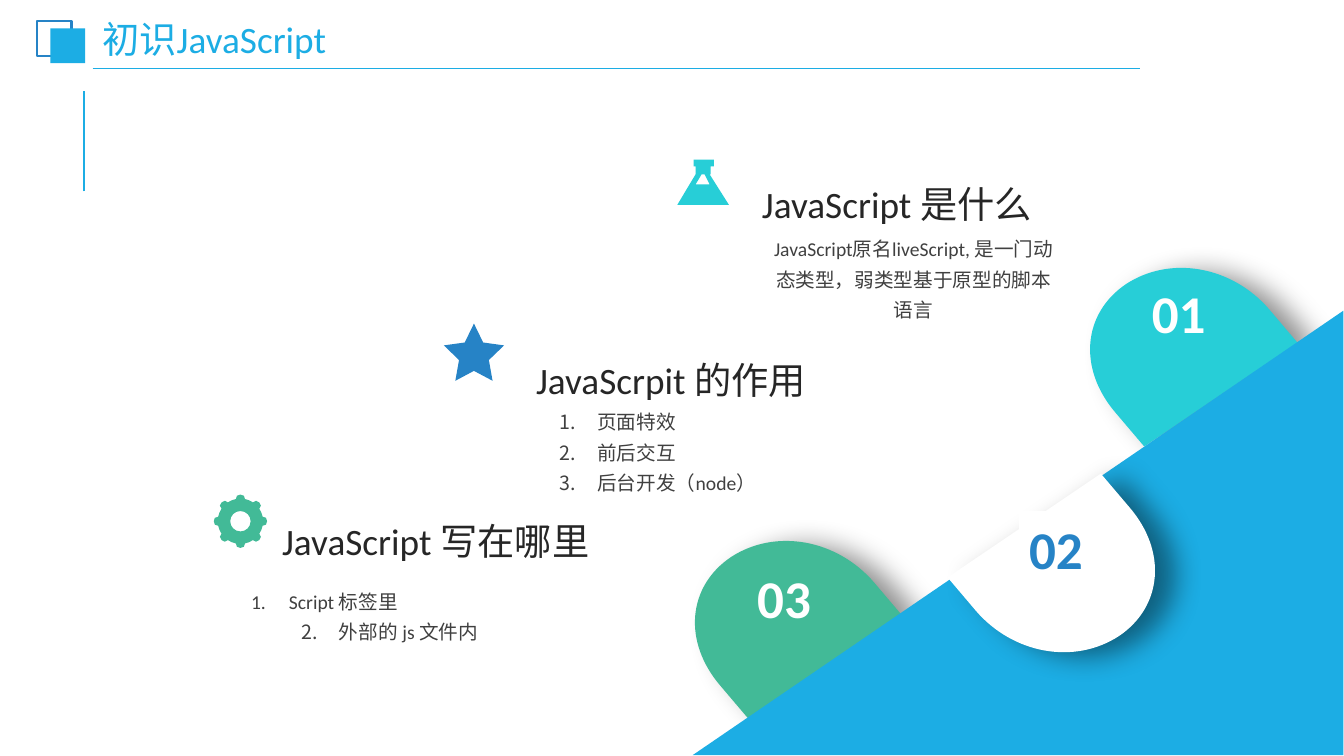
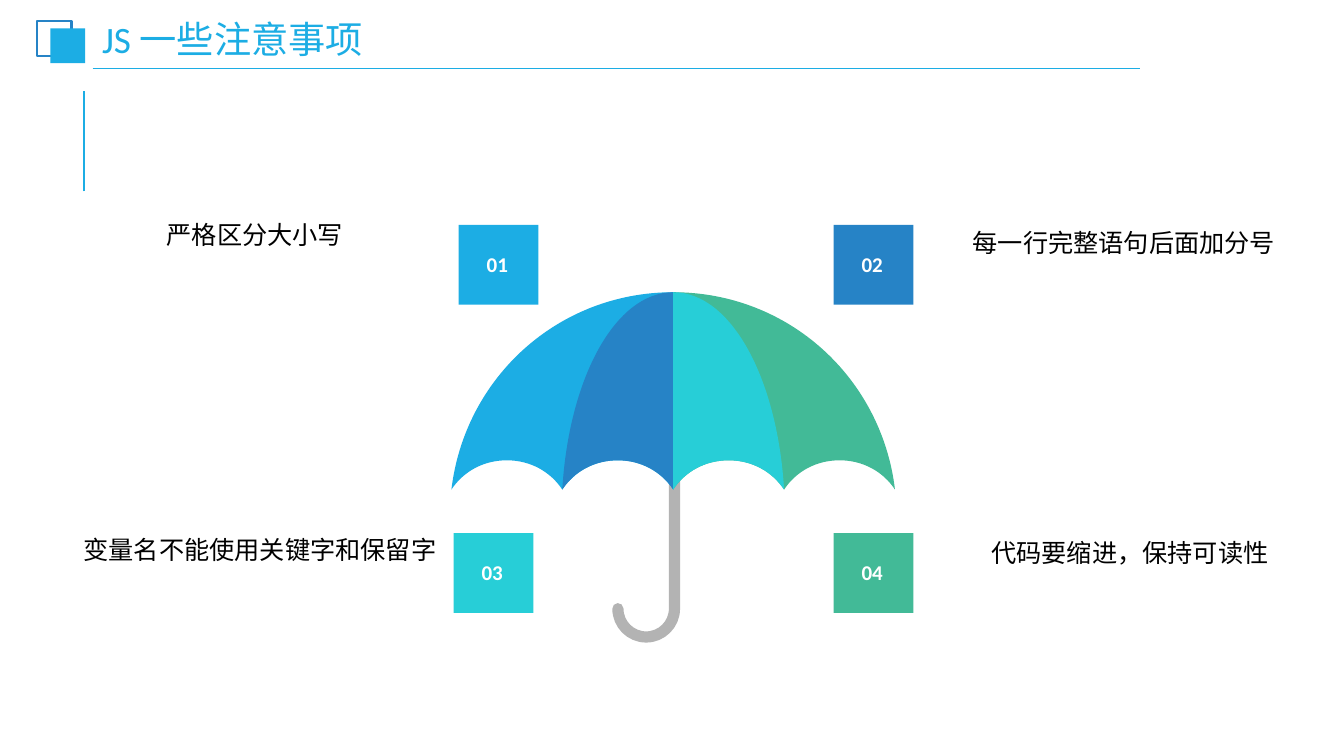
"""Build two JavaScript introduction slides with a shared frame."""
import math
from dataclasses import dataclass
from typing import Any, Optional

import lxml.etree
import pptx
import pptx.dml.color
import pptx.enum.shapes
import pptx.enum.text
import pptx.oxml.ns
import pptx.util

Pt = pptx.util.Pt
qn = pptx.oxml.ns.qn
SHAPE = pptx.enum.shapes.MSO_SHAPE
ALIGN = pptx.enum.text.PP_ALIGN
ANCHOR = pptx.enum.text.MSO_ANCHOR
Point = tuple[float, float]
Segment = tuple[Point, ...]

FONT = "Calibri"
SKY, BLUE, CYAN, GREEN = "1CADE4", "2683C6", "27CED7", "42BA97"
WHITE, BLACK, INK, GREY, STEEL = "FFFFFF", "000000", "262626", "404040", "B3B3B3"
APEX = (480.8, 208.8)
SCALLOP, CANOPY = 79.2, 141.0


@dataclass
class Label:
    text: str
    left: float
    top: float
    width: float
    height: float
    color: str
    fill: Optional[str] = None


@dataclass
class Petal:
    x: float
    y: float
    sign: int
    color: str


@dataclass
class NumberedList:
    items: list[str]
    left: float
    top: float
    width: float
    height: float
    aligns: list[Any]


@dataclass
class Panel:
    side: int
    scallops: int
    color: str


HEADINGS = [
    Label("JavaScript 是什么", 537.1, 119.5, 278, 46, INK),
    Label("JavaScrpit 的作用", 375.8, 245.5, 294.5, 46, INK),
    Label("JavaScript 写在哪里", 194.4, 360.4, 300, 46, INK),
]
NUMBERS = [
    Label("01", 815.6, 196.6, 64, 53.3, WHITE),
    Label("02", 727.9, 365.2, 64, 53.3, BLUE, WHITE),
    Label("03", 533.7, 400.3, 64, 53.3, WHITE),
]
LISTS = [
    NumberedList(["页面特效", "前后交互", "后台开发（node）"], 393.1, 285.1, 211, 115.2, [ALIGN.LEFT] * 3),
    NumberedList(["Script 标签里", "外部的 js 文件内"], 172.8, 413.3, 211, 49, [ALIGN.LEFT, ALIGN.CENTER]),
]
BACK_PETALS = [Petal(926.6, 244.8, 1, CYAN), Petal(644.4, 439.9, 1, GREEN)]
FRONT_PETAL = Petal(676.8, 412.6, -1, WHITE)
PANELS = [Panel(1, 2, GREEN), Panel(-1, 2, SKY), Panel(-1, 1, BLUE), Panel(1, 1, CYAN)]
BADGES = [
    Label("01", 327.6, 160.6, 57, 57, WHITE, SKY),
    Label("02", 595.4, 160.6, 57, 57, WHITE, BLUE),
    Label("03", 324, 380.9, 57, 57, WHITE, CYAN),
    Label("04", 595.4, 380.9, 57, 57, WHITE, GREEN),
]
RULES = [
    Label("严格区分大小写", 112, 153.4, 140.4, 29, BLACK),
    Label("每一行完整语句后面加分号", 687.6, 159.1, 237.6, 29, BLACK),
    Label("代码要缩进，保持可读性", 700.9, 380.2, 214.6, 29, BLACK),
    Label("变量名不能使用关键字和保留字", 52.6, 378, 269.3, 29, BLACK),
]


def rgb(color: str) -> pptx.dml.color.RGBColor:
    """Turn a hex string into a colour."""
    return pptx.dml.color.RGBColor.from_string(color)


def paint(sp: Any, fill: Optional[str] = None, line: Optional[str] = None, width: float = 1) -> Any:
    """Set fill and outline and drop the shadow."""
    sp.shadow.inherit = False
    if fill:
        sp.fill.solid()
        sp.fill.fore_color.rgb = rgb(fill)
    else:
        sp.fill.background()
    if line:
        sp.line.color.rgb = rgb(line)
        sp.line.width = Pt(width)
    else:
        sp.line.fill.background()
    return sp


def place(sp: Any, left: float, top: float, width: float, height: float) -> None:
    """Move and size a shape."""
    sp.left, sp.top, sp.width, sp.height = Pt(left), Pt(top), Pt(width), Pt(height)


def inset(tf: Any, x: float, y: float) -> None:
    """Set the text margins."""
    tf.margin_left = tf.margin_right = Pt(x)
    tf.margin_top = tf.margin_bottom = Pt(y)


def style(p: Any, size: float, color: str, align: Any = ALIGN.LEFT, spacing: float = 1.0, bold: bool = False) -> None:
    """Format a paragraph and its runs."""
    p.alignment = align
    p.line_spacing = spacing
    p.space_before = Pt(0)
    for r in p.runs:
        r.font.name, r.font.size, r.font.bold = FONT, Pt(size), bold
        r.font.color.rgb = rgb(color)


def add_rect(s: Any, left: float, top: float, width: float, height: float) -> Any:
    """Add a rectangle."""
    return s.shapes.add_shape(SHAPE.RECTANGLE, Pt(left), Pt(top), Pt(width), Pt(height))


def add_label(s: Any, label: Label, size: float, wrap: bool = True, **options: Any) -> Any:
    """Add a text box, or a filled box holding text."""
    if label.fill:
        sp = paint(add_rect(s, label.left, label.top, label.width, label.height), label.fill)
    else:
        sp = s.shapes.add_textbox(Pt(label.left), Pt(label.top), Pt(label.width), Pt(label.height))
    tf = sp.text_frame
    tf.text = label.text
    tf.word_wrap = wrap
    tf.vertical_anchor = ANCHOR.TOP
    inset(tf, 7.2, 3.6)
    style(tf.paragraphs[0], size, label.color, **options)
    return sp


def polar(center: Point, radius: float, degrees: float) -> Point:
    """Return the point at a radius and angle from a centre."""
    angle = math.radians(degrees)
    return center[0] + radius * math.cos(angle), center[1] + radius * math.sin(angle)


def arc(center: Point, radius: float, start: float, end: float) -> Segment:
    """Return the cubic segment of a circular arc."""
    pull = 4 / 3 * math.tan(math.radians(end - start) / 4)
    reach, swing = radius * math.hypot(1, pull), math.degrees(math.atan(pull))
    return polar(center, reach, start + swing), polar(center, reach, end - swing), polar(center, radius, end)


def lines(points: list[Point]) -> list[Segment]:
    """Turn points into straight segments."""
    return [(point,) for point in points]


def add_outline(s: Any, contours: list[list[Segment]], close: bool = True) -> Any:
    """Add a freeform whose three-point segments are cubic curves."""
    builder = None
    for contour in contours:
        first, *rest = [(Pt(x), Pt(y)) for segment in contour for x, y in segment]
        if builder:
            builder.move_to(*first)
        else:
            builder = s.shapes.build_freeform(*first)
        builder.add_line_segments(rest, close=close)
    sp = builder.convert_to_shape()
    steps = iter(list(sp.element.iter(qn("a:lnTo"))))
    for segment in (segment for contour in contours for segment in contour[1:]):
        step = next(steps)
        if len(segment) == 3:
            cubic = lxml.etree.Element(qn("a:cubicBezTo"))
            step.addprevious(cubic)
            for node in (step, next(steps), next(steps)):
                cubic.append(node[0])
                node.getparent().remove(node)
    return sp


def add_petal(s: Any, petal: Petal) -> None:
    """Add a rounded petal with a soft shadow."""
    segments = [
        ((0, 0),),
        ((-20.2, -23.8),),
        ((-46.8, -54.7), (-90.7, -62.6), (-122.4, -41.8)),
        ((-153.4, -20.9), (-157, 18.7), (-129.6, 50.4)),
        ((-109.4, 74.2),),
    ]
    sp = add_outline(s, [[tuple((petal.x + petal.sign * x, petal.y + petal.sign * y) for x, y in segment)
                          for segment in segments]])
    paint(sp, petal.color)
    effects = sp.element.spPr.find(qn("a:effectLst"))
    shadow = lxml.etree.SubElement(effects, qn("a:outerShdw"), blurRad=str(Pt(20)), dist=str(Pt(15)),
                                   dir="720000", algn="l", rotWithShape="0")
    color = lxml.etree.SubElement(shadow, qn("a:srgbClr"), val=BLACK)
    lxml.etree.SubElement(color, qn("a:alpha"), val="43000")


def add_flask(s: Any) -> None:
    """Add the flask icon."""
    body = [(483.8, 146.3), (520.6, 146.3), (506.9, 124.6), (507.6, 124.6), (507.6, 118.8), (509.8, 118.8),
            (509.8, 114), (495.4, 114), (495.4, 118.8), (496.8, 118.8), (496.8, 124.6)]
    window = [(501.1, 124.6), (503.3, 124.6), (506.9, 131.8), (496.8, 131.8)]
    paint(add_outline(s, [lines(body), lines(window)]), CYAN)


def add_star(s: Any, center: Point) -> None:
    """Add the star icon."""
    tips = [polar(center, 11.2 if i % 2 else 22.6, 36 * i - 90) for i in range(10)]
    paint(add_outline(s, [lines(tips)]), BLUE)


def add_gear(s: Any, center: Point) -> None:
    """Add the gear icon with eight round teeth."""
    body, hole, half, teeth = 16.2, 7.3, 11.5, 8
    pitch = 360 / teeth
    rim = lines([polar(center, body, -half)])
    for i in range(teeth):
        start, end = i * pitch - half, i * pitch + half
        rim.append((polar(center, 20.5, start), polar(center, 20.5, end), polar(center, body, end)))
        rim.append(arc(center, body, end, start + pitch))
    ring = lines([polar(center, hole, 0)]) + [arc(center, hole, -90 * i, -90 * (i + 1)) for i in range(4)]
    paint(add_outline(s, [rim, ring]), GREEN)


def add_list(sp: Any, numbered: NumberedList) -> None:
    """Fill a body placeholder with a numbered list."""
    place(sp, numbered.left, numbered.top, numbered.width, numbered.height)
    tf = sp.text_frame
    tf.text = "\n".join(numbered.items)
    tf.auto_size = pptx.enum.text.MSO_AUTO_SIZE.NONE
    inset(tf, 6.5, 3)
    for p, align in zip(tf.paragraphs, numbered.aligns):
        props = p._p.get_or_add_pPr()
        props.set("marL", str(Pt(27)))
        props.set("indent", str(Pt(-27)))
        lxml.etree.SubElement(props, qn("a:buFont"), typeface="+mj-lt")
        lxml.etree.SubElement(props, qn("a:buAutoNum"), type="arabicPeriod")
        style(p, 14, GREY, align, 1.3)


def add_umbrella(s: Any) -> None:
    """Add the umbrella handle and its four panels."""
    center, radius = (461.5, 434.9), 20.2
    hook = lines([polar(center, radius, 180)]) + [arc(center, radius, 180, 90), arc(center, radius, 90, 0)]
    handle = add_outline(s, [hook + lines([(center[0] + radius, 272.2)])], close=False)
    paint(handle, None, STEEL, 8).element.spPr.find(qn("a:ln")).set("cap", "rnd")
    peak, slope = CANOPY - 20.9, CANOPY - 13
    for panel in PANELS:
        segments = lines([(0, 0), (0, CANOPY)])
        for i in range(panel.scallops):
            start, middle, end = i * SCALLOP, (i + 0.5) * SCALLOP, (i + 1) * SCALLOP
            segments.append(((start + 8.6, slope), (middle - 16.6, peak), (middle, peak)))
            segments.append(((middle + 16.6, peak), (end - 8.6, slope), (end, CANOPY)))
        edge = panel.scallops * SCALLOP
        segments.append(((0.94 * edge, 61.2), (0.52 * edge, 0), (0, 0)))
        paint(add_outline(s, [[tuple((APEX[0] + panel.side * x, APEX[1] + y) for x, y in segment)
                               for segment in segments]]), panel.color)


def add_frame(prs: Any, s: Any) -> None:
    """Draw the shared lines and squares and move them to the master."""
    parts = []
    for x1, y1, x2, y2, width in [(59.8, 136.8, 59.8, 64.8, 1.5), (66.2, 49, 814.3, 49, 1.25)]:
        line = s.shapes.add_connector(pptx.enum.shapes.MSO_CONNECTOR.STRAIGHT, Pt(x1), Pt(y1), Pt(x2), Pt(y2))
        line.line.color.rgb = rgb(SKY)
        line.line.width = Pt(width)
        lxml.etree.SubElement(line.element.spPr, qn("a:effectLst"))
        parts.append(line)
    parts.append(paint(add_rect(s, 26.3, 15, 24.8, 25), None, BLUE, 1.5))
    parts.append(paint(add_rect(s, 36, 20.2, 24.8, 25), SKY))
    for part in parts:
        prs.slide_master.shapes.element.append(part.element)


def add_slide(prs: Any, layout: int, title: str) -> Any:
    """Add a slide with a styled title."""
    s = prs.slides.add_slide(prs.slide_layouts[layout])
    sp = s.shapes.title
    place(sp, 67.9, 16.6, 283, 26.6)
    tf = sp.text_frame
    tf.text = title
    tf.auto_size = pptx.enum.text.MSO_AUTO_SIZE.NONE
    tf.vertical_anchor = ANCHOR.MIDDLE
    inset(tf, 5, 3)
    style(tf.paragraphs[0], 26.6, SKY, spacing=0.9)
    return s


def build_intro(s: Any) -> None:
    """Fill the introduction slide."""
    for petal in BACK_PETALS:
        add_petal(s, petal)
    paint(add_outline(s, [lines([(494.6, 539.6), (959.4, 539.6), (959.4, 222)])]), SKY)
    add_petal(s, FRONT_PETAL)
    add_flask(s)
    add_star(s, (338.5, 253.8))
    add_gear(s, (171.7, 372.4))
    for heading in HEADINGS:
        add_label(s, heading, 26.6, align=ALIGN.JUSTIFY, spacing=1.2)
    summary = Label("JavaScript原名liveScript, 是一门动态类型，弱类型基于原型的脚本语言", 543.8, 161.4, 217.4, 71.3, GREY)
    inset(add_label(s, summary, 14, align=ALIGN.CENTER, spacing=1.3).text_frame, 6.5, 3)
    for number in NUMBERS:
        add_label(s, number, 37.9, bold=True)
    for sp, numbered in zip(list(s.placeholders)[1:], LISTS):
        add_list(sp, numbered)


def build_rules(s: Any) -> None:
    """Fill the slide of coding rules."""
    add_umbrella(s)
    for badge in BADGES:
        tf = add_label(s, badge, 15, align=ALIGN.CENTER, spacing=1.2, bold=True).text_frame
        tf.vertical_anchor = ANCHOR.MIDDLE
        tf.margin_right, tf.margin_bottom = Pt(9), Pt(8.4)
    for rule in RULES:
        add_label(s, rule, 18, wrap=False)


def main() -> None:
    """Build and save the presentation."""
    prs = pptx.Presentation()
    prs.slide_width, prs.slide_height = Pt(959.87), Pt(540.12)
    intro = add_slide(prs, 3, "初识JavaScript")
    add_frame(prs, intro)
    build_intro(intro)
    build_rules(add_slide(prs, 5, "JS 一些注意事项"))
    prs.save("out.pptx")


if __name__ == "__main__":
    main()
